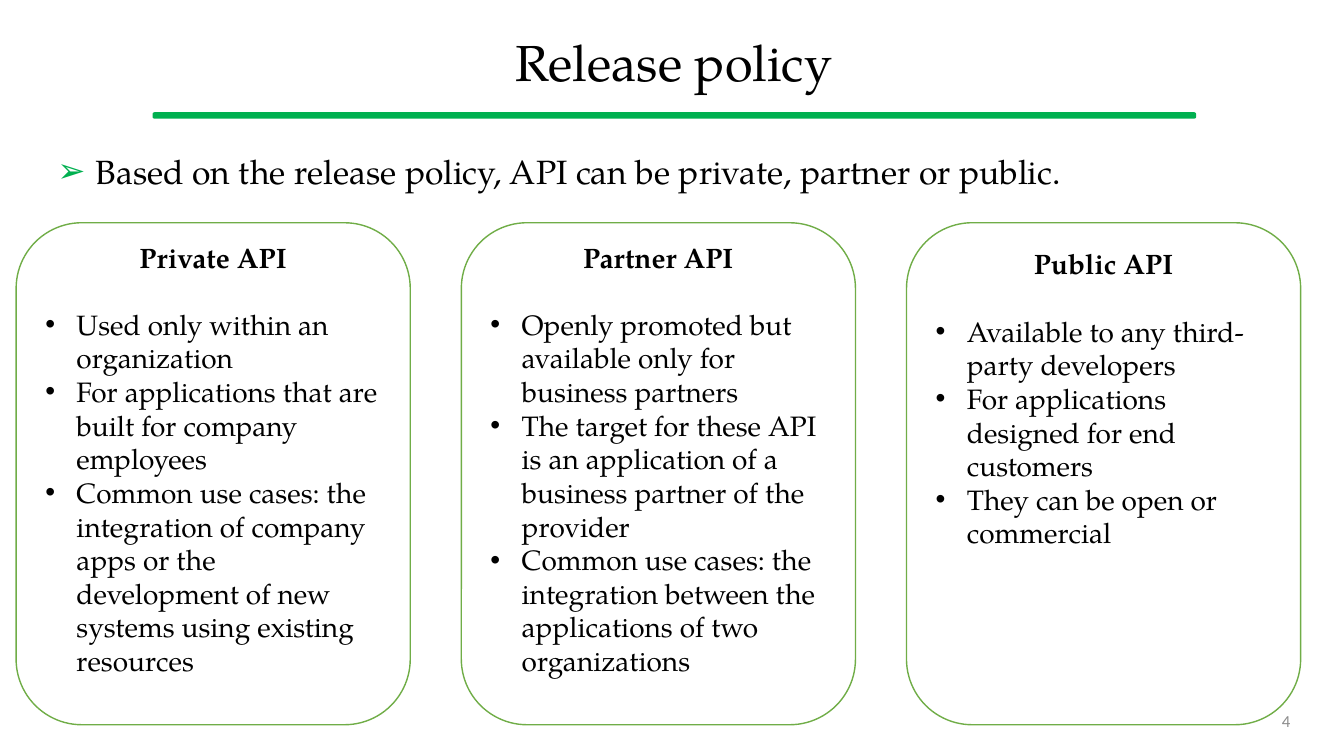
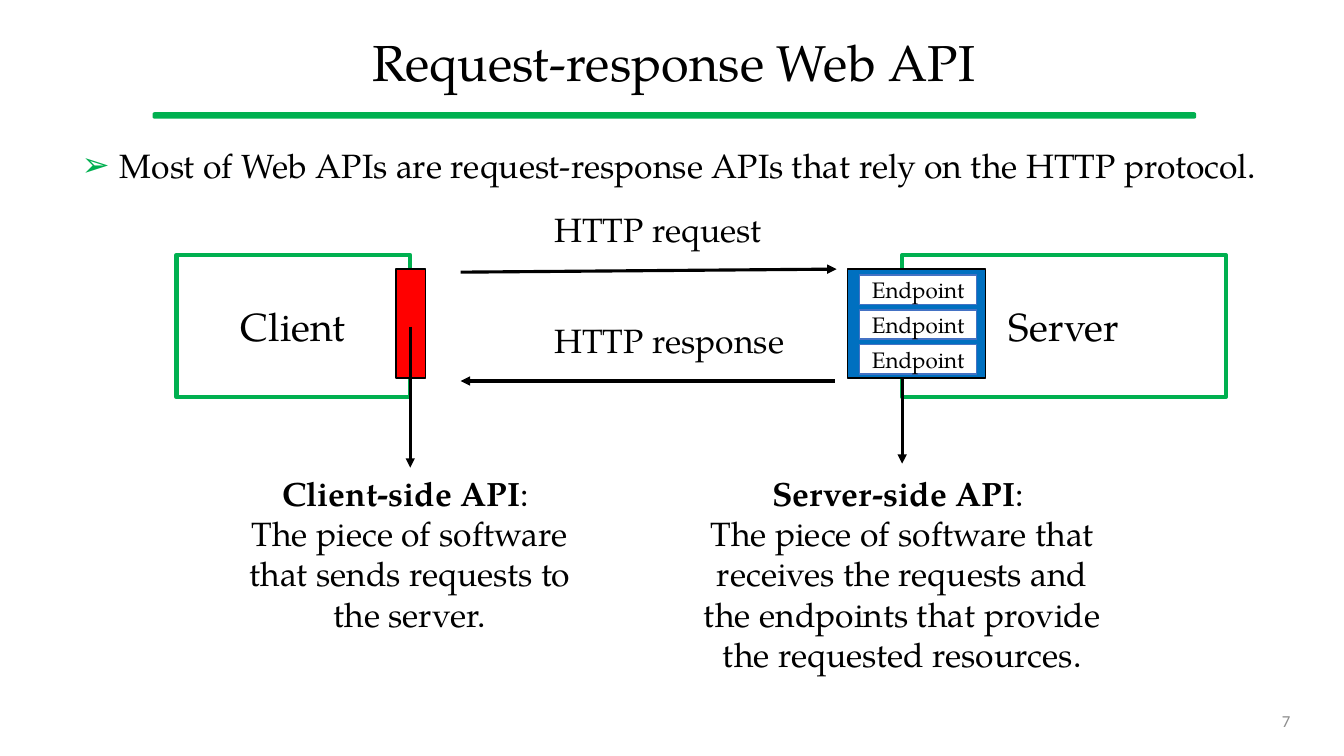
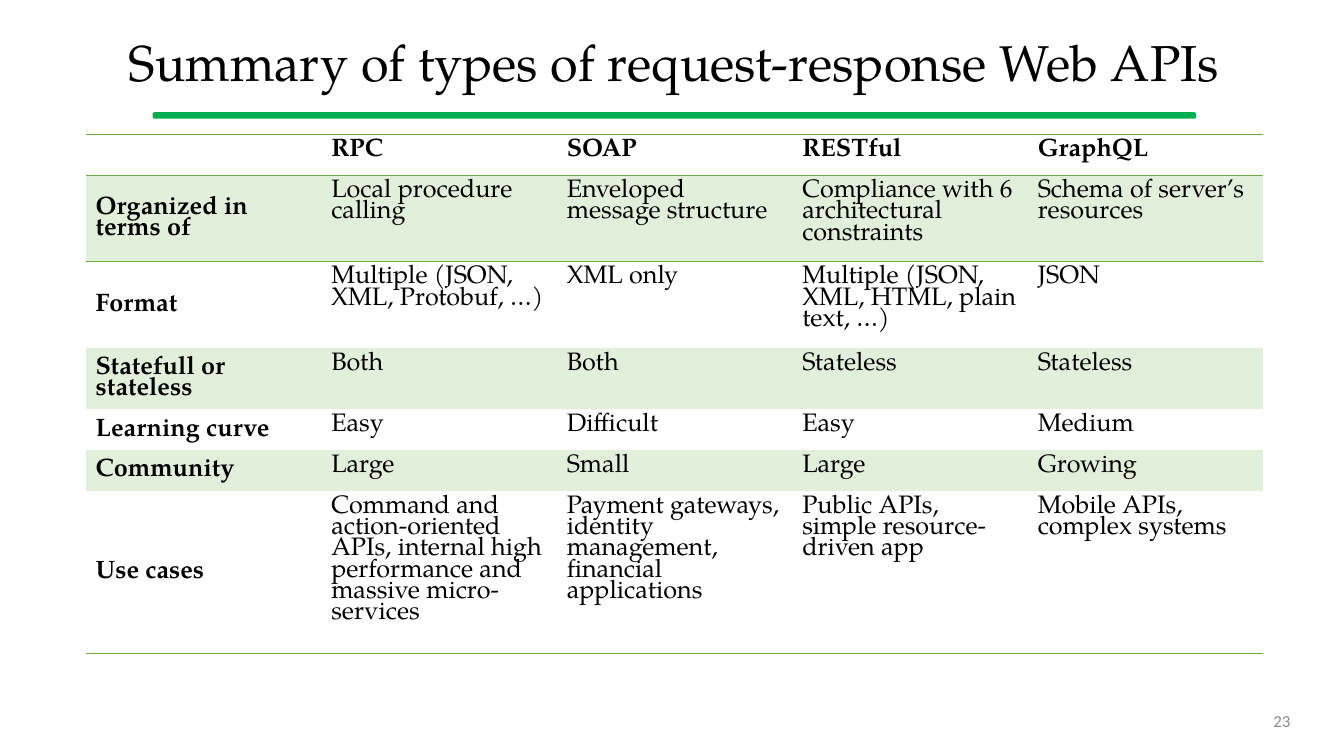
from lxml.etree import SubElement
from pptx import Presentation
from pptx.dml.color import RGBColor
from pptx.enum.shapes import MSO_CONNECTOR, MSO_SHAPE
from pptx.enum.text import MSO_ANCHOR, MSO_AUTO_SIZE, PP_ALIGN
from pptx.oxml.ns import qn
from pptx.util import Inches, Pt

COLUMNS, ROWS = 160, 90
NO_STYLE = "{2D5ABB26-0587-4C30-8999-92F81FD0307C}"


def color(hex_string):
    return RGBColor.from_string(hex_string)


class Deck:
    serif, sans = "TeX Gyre Pagella", "Calibri"
    black, white, gray = "000000", "FFFFFF", "8C8C8C"
    green, leaf, pale_leaf = "00B050", "70AD47", "E2EFDA"
    red, blue, endpoint_edge = "FF0000", "0070C0", "4472C4"

    def __init__(self):
        self.file = Presentation()
        self.file.slide_width = Inches(13.33)
        self.file.slide_height = Inches(7.5)
        self.slide = None

    def x(self, columns):
        return round(self.file.slide_width * columns / COLUMNS)

    def y(self, rows):
        return round(self.file.slide_height * rows / ROWS)

    def area(self, left, top, width, height):
        return self.x(left), self.y(top), self.x(width), self.y(height)

    def start(self, title, number, lead_area=None, lead=None):
        layout = self.file.slide_layouts[1 if lead else 5]
        self.slide = self.file.slides.add_slide(layout)
        rule = self.shape((18.24, 13.44, 124.08, 0.6), self.green, self.green,
                          kind=MSO_SHAPE.ROUNDED_RECTANGLE)
        rule.adjustments[0] = 0.26
        heading = self.placeholder(self.slide.shapes.title, (5.64, 2.16, 149.2, 11.28))
        heading.vertical_anchor = MSO_ANCHOR.MIDDLE
        self.paragraph(heading, title, 36, PP_ALIGN.CENTER, spacing=0.9)
        if lead:
            body = self.placeholder(self.slide.placeholders[1], lead_area)
            body.vertical_anchor = MSO_ANCHOR.TOP
            self.paragraph(body, lead, 24, spacing=0.9, bullet="➢",
                           indent=0.38, bullet_color=self.green)
        footer = self.textbox((113.04, 83.4, 41.76, 4.8))
        footer.vertical_anchor = MSO_ANCHOR.MIDDLE
        self.paragraph(footer, str(number), 12, PP_ALIGN.RIGHT,
                       face=self.sans, ink=self.gray)

    def placeholder(self, holder, area):
        holder.left, holder.top, holder.width, holder.height = self.area(*area)
        holder.text_frame.auto_size = MSO_AUTO_SIZE.NONE
        return holder.text_frame

    def textbox(self, area):
        frame = self.slide.shapes.add_textbox(*self.area(*area)).text_frame
        frame.word_wrap = True
        return frame

    def paragraph(self, frame, text, size, align=PP_ALIGN.LEFT, bold=False,
                  lead_in=None, spacing=None, bullet=None, indent=0,
                  bullet_color=None, face=serif, ink=black):
        line = frame.add_paragraph() if frame.text else frame.paragraphs[0]
        if lead_in:
            strong = line.add_run()
            strong.text = lead_in
            strong.font.bold = True
        line.add_run().text = text
        if bullet:
            properties = line._p.get_or_add_pPr()
            properties.set("marL", str(Inches(indent)))
            properties.set("indent", str(-Inches(indent)))
            if bullet_color:
                SubElement(SubElement(properties, qn("a:buClr")),
                           qn("a:srgbClr"), val=bullet_color)
            SubElement(properties, qn("a:buFont"), typeface="Arial")
            SubElement(properties, qn("a:buChar"), char=bullet)
        line.alignment = align
        line.space_before = Pt(0)
        if spacing:
            line.line_spacing = spacing
        line.font.name, line.font.size, line.font.bold = face, Pt(size), bold
        line.font.color.rgb = color(ink)
        return line

    def shape(self, area, fill, edge, weight=1, label=None, size=None,
              kind=MSO_SHAPE.RECTANGLE):
        block = self.slide.shapes.add_shape(kind, *self.area(*area))
        block.shadow.inherit = False
        block.fill.solid()
        block.fill.fore_color.rgb = color(fill)
        block.line.color.rgb = color(edge)
        block.line.width = Pt(weight)
        if label:
            self.paragraph(block.text_frame, label, size, PP_ALIGN.CENTER)
        return block

    def card(self, area, heading, points, anchor):
        frame = self.shape(area, self.white, self.leaf,
                           kind=MSO_SHAPE.ROUNDED_RECTANGLE).text_frame
        frame.vertical_anchor = anchor
        frame.margin_bottom = Inches(0.35)
        name = self.paragraph(frame, heading, 20, PP_ALIGN.CENTER, bold=True)
        name.space_after = Pt(24)
        for point in points:
            self.paragraph(frame, point, 20, bullet="•", indent=0.31)

    def arrow(self, x1, y1, x2, y2):
        line = self.slide.shapes.add_connector(
            MSO_CONNECTOR.STRAIGHT, self.x(x1), self.y(y1), self.x(x2), self.y(y2))
        line.line.color.rgb = color(self.black)
        line.line.width = Pt(2.25)
        SubElement(line.line._get_or_add_ln(), qn("a:tailEnd"), type="triangle")
        SubElement(line.element.spPr, qn("a:effectLst"))

    def caption(self, area, text, lead_in):
        frame = self.textbox(area)
        self.paragraph(frame, ": ", 24, PP_ALIGN.CENTER, lead_in=lead_in)
        self.paragraph(frame, text, 24, PP_ALIGN.CENTER)

    def border(self, cell, side):
        edge = SubElement(cell._tc.get_or_add_tcPr(), qn(f"a:{side}"), w=str(Pt(1)))
        SubElement(SubElement(edge, qn("a:solidFill")), qn("a:srgbClr"), val=self.leaf)

    def table(self, area, heights, records):
        frame = self.slide.shapes.add_table(
            len(records), len(records[0]), *self.area(*area))
        for style in frame.element.iter(qn("a:tableStyleId")):
            style.text = NO_STYLE
        grid = frame.table
        grid.first_row = grid.horz_banding = False
        last = len(records) - 1
        for r, (height, record) in enumerate(zip(heights, records)):
            grid.rows[r].height = self.y(height)
            for c, text in enumerate(record):
                cell = grid.cell(r, c)
                if r in (0, 1):
                    self.border(cell, "lnT")
                if r in (0, last):
                    self.border(cell, "lnB")
                if r % 2:
                    cell.fill.solid()
                    cell.fill.fore_color.rgb = color(self.pale_leaf)
                else:
                    cell.fill.background()
                if c == 0:
                    cell.vertical_anchor = MSO_ANCHOR.MIDDLE
                self.paragraph(cell.text_frame, text, 18, spacing=0.84,
                               bold=r == 0 or c == 0)


def release_policy(deck):
    deck.start("Release policy", 4, (5.64, 17.88, 149.2, 7.5),
               "Based on the release policy, API can be private, partner or public.")
    policies = [
        ("Private API", MSO_ANCHOR.MIDDLE, [
            "Used only within an organization",
            "For applications that are built for company employees",
            "Common use cases: the integration of company apps or the "
            "development of new systems using existing resources"]),
        ("Partner API", MSO_ANCHOR.MIDDLE, [
            "Openly promoted but available only for business partners",
            "The target for these API is an application of a business "
            "partner of the provider",
            "Common use cases: the integration between the applications "
            "of two organizations"]),
        ("Public API", MSO_ANCHOR.TOP, [
            "Available to any third-party developers",
            "For applications designed for end customers",
            "They can be open or commercial"]),
    ]
    for i, (heading, anchor, points) in enumerate(policies):
        deck.card((1.92 + 53 * i, 26.52, 46.92, 59.76), heading, points, anchor)


def request_response(deck):
    deck.start("Request-response Web API", 7, (8.52, 17.16, 143.4, 5.52),
               "Most of Web APIs are request-response APIs that rely on the HTTP protocol.")
    deck.shape((21, 30.36, 27.84, 16.92), deck.white, deck.green, 3, "Client", 28)
    deck.shape((47.16, 32.04, 3.48, 12.96), deck.red, deck.black)
    deck.shape((107.4, 30.36, 38.52, 16.92), deck.white, deck.green, 3, "Server", 28)
    deck.shape((100.92, 32.04, 16.44, 12.96), deck.blue, deck.black)
    for i in range(3):
        deck.shape((102.36, 32.76 + 4.14 * i, 13.92, 3.48), deck.white,
                   deck.endpoint_edge, 1, "Endpoint", 16)
    deck.arrow(54.84, 32.4, 99.6, 32.04)
    deck.arrow(99.36, 45.36, 54.84, 45.36)
    deck.arrow(48.84, 38.88, 48.84, 55.68)
    deck.arrow(107.4, 44.88, 107.4, 55.2)
    for top, message in ((24.24, "HTTP request"), (37.44, "HTTP response")):
        deck.paragraph(deck.textbox((64.8, top, 32, 6)), message, 24)
    deck.caption((27.84, 55.68, 41.88, 20.64),
                 "The piece of software that sends requests to the server.",
                 "Client-side API")
    deck.caption((82.32, 55.68, 50.16, 25.44),
                 "The piece of software that receives the requests and the "
                 "endpoints that provide the requested resources.",
                 "Server-side API")


def summary(deck):
    deck.start("Summary of types of request-response Web APIs", 23)
    deck.table((10.2, 16, 140.2, 61.6), (4.88, 10.3, 10.3, 7, 4.88, 4.88, 19.36), [
        ("", "RPC", "SOAP", "RESTful", "GraphQL"),
        ("Organized in terms of", "Local procedure calling",
         "Enveloped message structure",
         "Compliance with 6 architectural constraints",
         "Schema of server’s resources"),
        ("Format", "Multiple (JSON, XML, Protobuf, …)", "XML only",
         "Multiple (JSON, XML, HTML, plain text, …)", "JSON"),
        ("Statefull or stateless", "Both", "Both", "Stateless", "Stateless"),
        ("Learning curve", "Easy", "Difficult", "Easy", "Medium"),
        ("Community", "Large", "Small", "Large", "Growing"),
        ("Use cases",
         "Command and action-oriented APIs, internal high performance and "
         "massive micro-services",
         "Payment gateways, identity management, financial applications",
         "Public APIs, simple resource-driven app",
         "Mobile APIs, complex systems"),
    ])


def main():
    deck = Deck()
    for build in (release_policy, request_response, summary):
        build(deck)
    deck.file.save("out.pptx")


if __name__ == "__main__":
    main()
